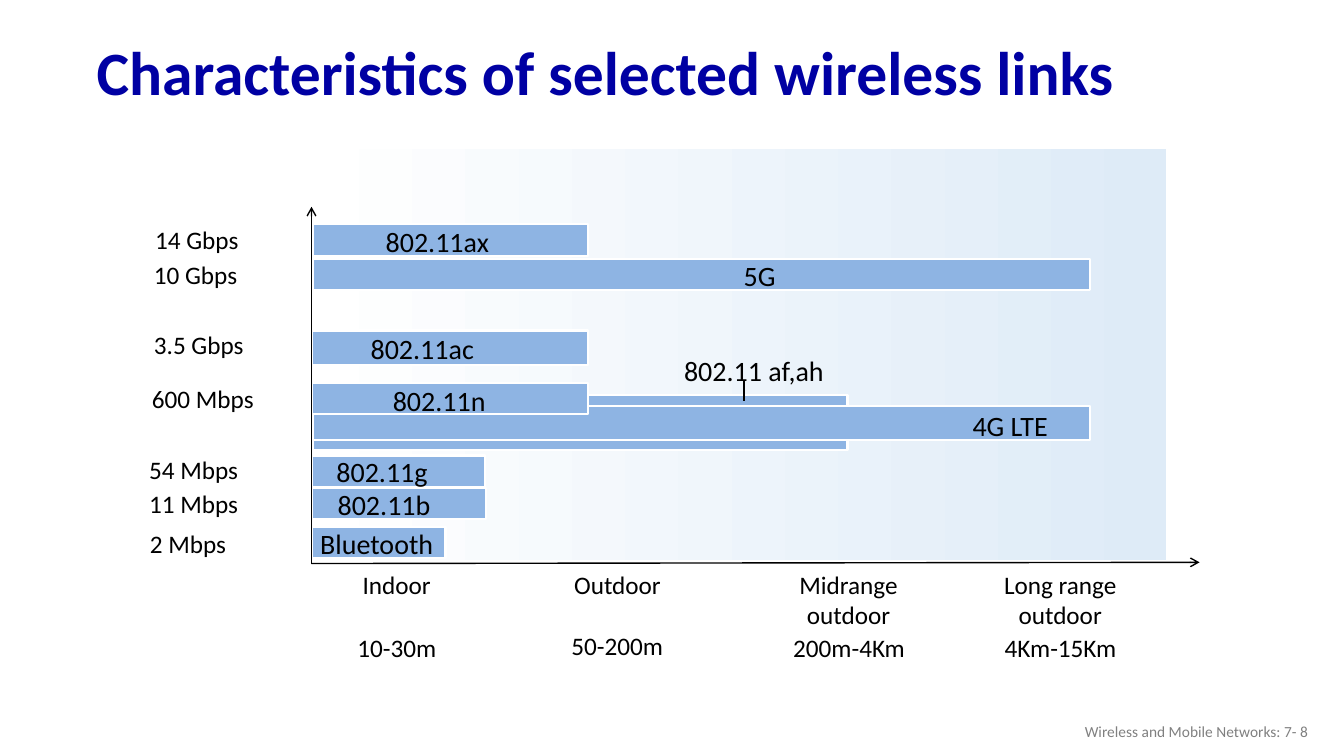
"""Build the slide comparing rate and range of selected wireless links."""
from dataclasses import dataclass
from typing import Optional

from lxml import etree
from pptx import Presentation
from pptx import util as u
from pptx.dml.color import RGBColor
from pptx.enum import shapes, text
from pptx.oxml.ns import qn

NAVY = RGBColor(0x00, 0x00, 0xA3)
GRAY = RGBColor(0x80, 0x80, 0x80)
BLACK = RGBColor(0x00, 0x00, 0x00)
WHITE = RGBColor(0xFF, 0xFF, 0xFF)
BAR_BLUE = RGBColor(0x8E, 0xB4, 0xE3)
PALE_BLUE = RGBColor(0xDE, 0xEB, 0xF7)
FONT = "Calibri"
AXIS_X, AXIS_Y = 7.85, 14.2


@dataclass(frozen=True)
class Label:
    left: float
    top: float
    width: float
    lines: tuple[str, ...]
    size: int = 18
    fill: Optional[RGBColor] = WHITE


@dataclass(frozen=True)
class Bar:
    left: float
    top: float
    width: float
    height: float
    caption: Label


def caption(left: float, top: float, width: float, words: str) -> Label:
    """Describe the unfilled name of a link."""
    return Label(left, top, width, (words,), 20, None)


RANGES = (
    Label(8.89, 14.22, 2.26, ("Indoor",)),
    Label(14.22, 14.22, 2.72, ("Outdoor",)),
    Label(19.86, 14.22, 3.05, ("Midrange", "outdoor")),
    Label(25.02, 14.22, 3.4, ("Long range", "outdoor")),
    Label(8.76, 15.82, 2.51, ("10-30m",)),
    Label(14.15, 15.77, 2.84, ("50-200m",)),
    Label(19.74, 15.82, 3.38, ("200m-4Km",)),
    Label(25.07, 15.82, 3.38, ("4Km-15Km",)),
)
RATES = (
    Label(3.66, 5.54, 2.64, ("14 Gbps",)),
    Label(3.63, 6.4, 2.64, ("10 Gbps",), fill=None),
    Label(3.63, 8.18, 2.79, ("3.5 Gbps",)),
    Label(3.58, 9.53, 3.1, ("600 Mbps",)),
    Label(3.51, 11.33, 2.79, ("54 Mbps",)),
    Label(3.51, 12.17, 2.79, ("11 Mbps",)),
    Label(3.53, 13.18, 2.46, ("2 Mbps",)),
)
BARS = (
    Bar(7.9, 9.96, 13.46, 1.37, caption(16.99, 8.79, 4.11, "802.11 af,ah")),
    Bar(7.9, 10.24, 19.58, 0.84, caption(24.26, 10.16, 2.49, "4G LTE")),
    Bar(7.85, 8.33, 6.96, 0.86, caption(9.09, 8.23, 3.15, "802.11ac")),
    Bar(7.85, 9.65, 6.96, 0.79, caption(9.65, 9.53, 2.87, "802.11n")),
    Bar(7.85, 11.48, 4.37, 0.79, caption(8.23, 11.33, 2.82, "802.11g")),
    Bar(7.85, 12.29, 4.39, 0.79, caption(8.26, 12.17, 2.87, "802.11b")),
    Bar(7.85, 13.28, 3.38, 0.79, caption(7.82, 13.13, 3.4, "Bluetooth")),
    Bar(7.9, 5.64, 6.91, 0.81, caption(9.47, 5.54, 3.15, "802.11ax")),
    Bar(7.9, 6.53, 19.58, 0.79, caption(18.49, 6.38, 1.32, "5G")),
)


def add_run(p, words: str, size: int, color: RGBColor, bold: bool = False) -> None:
    """Append one formatted run to a paragraph."""
    r = p.add_run()
    r.text = words
    r.font.name, r.font.size, r.font.bold = FONT, u.Pt(size), bold
    r.font.color.rgb = color


def add_title(s, words: str) -> None:
    """Place and fill the title placeholder."""
    sp = s.shapes.title
    sp.left, sp.top, sp.width, sp.height = u.Cm(2.18), u.Cm(0.66), u.Cm(29.21), u.Cm(2.49)
    tf = sp.text_frame
    tf.vertical_anchor = text.MSO_ANCHOR.MIDDLE
    p = tf.paragraphs[0]
    p.alignment, p.line_spacing = text.PP_ALIGN.LEFT, 0.9
    add_run(p, words, 44, NAVY, True)


def add_footer(s, words: str) -> None:
    """Write the footer at the lower right."""
    tf = s.shapes.add_textbox(u.Cm(25.6), u.Cm(17.91), u.Cm(7.62), u.Cm(1.02)).text_frame
    tf.word_wrap = True
    tf.vertical_anchor = text.MSO_ANCHOR.MIDDLE
    p = tf.paragraphs[0]
    p.alignment = text.PP_ALIGN.RIGHT
    add_run(p, words, 11, GRAY)


def add_label(s, label: Label) -> None:
    """Write a label, centred when it has several lines."""
    height = 0.25 + len(label.lines) * label.size * 0.043
    sp = s.shapes.add_textbox(u.Cm(label.left), u.Cm(label.top), u.Cm(label.width), u.Cm(height))
    if label.fill is not None:
        sp.fill.solid()
        sp.fill.fore_color.rgb = label.fill
    tf = sp.text_frame
    tf.word_wrap = False
    tf.auto_size = text.MSO_AUTO_SIZE.SHAPE_TO_FIT_TEXT
    for i, words in enumerate(label.lines):
        p = tf.add_paragraph() if i else tf.paragraphs[0]
        p.alignment = text.PP_ALIGN.CENTER if len(label.lines) > 1 else text.PP_ALIGN.LEFT
        add_run(p, words, label.size, BLACK)


def add_rect(s, left: float, top: float, width: float, height: float):
    """Add a rectangle without a shadow."""
    sp = s.shapes.add_shape(shapes.MSO_SHAPE.RECTANGLE,
                            u.Cm(left), u.Cm(top), u.Cm(width), u.Cm(height))
    sp.shadow.inherit = False
    return sp


def add_panel(s) -> None:
    """Draw the shaded plot background."""
    sp = add_rect(s, 7.7, 3.76, 21.69, 10.36)
    sp.line.fill.background()
    sp.fill.gradient()
    sp.fill.gradient_angle = 180
    for stop, color, position in zip(sp.fill.gradient_stops, (PALE_BLUE, WHITE), (0.01, 1)):
        stop.color.rgb, stop.position = color, position


def add_bar(s, bar: Bar) -> None:
    """Draw the bar of a link with its name."""
    sp = add_rect(s, bar.left, bar.top, bar.width, bar.height)
    sp.fill.solid()
    sp.fill.fore_color.rgb = BAR_BLUE
    sp.line.color.rgb, sp.line.width = WHITE, u.Pt(1.5)
    add_label(s, bar.caption)


def add_line(s, x1: float, y1: float, x2: float, y2: float, arrow: bool = False) -> None:
    """Draw a thin black line, with an arrowhead at its end if asked."""
    line = s.shapes.add_connector(shapes.MSO_CONNECTOR.STRAIGHT,
                                  u.Cm(x1), u.Cm(y1), u.Cm(x2), u.Cm(y2))
    line.line.color.rgb, line.line.width = BLACK, u.Pt(1)
    if arrow:
        etree.SubElement(line.line._get_or_add_ln(), qn("a:tailEnd"), type="arrow")
    etree.SubElement(line._element.spPr, qn("a:effectLst"))


def main() -> None:
    """Build and save the slide."""
    prs = Presentation()
    prs.slide_width, prs.slide_height = u.Cm(33.87), u.Cm(19.05)
    s = prs.slides.add_slide(prs.slide_layouts[5])
    add_title(s, "Characteristics of selected wireless links")
    add_footer(s, "Wireless and Mobile Networks: 7- 8")
    add_panel(s)
    for label in RANGES + RATES:
        add_label(s, label)
    add_line(s, AXIS_X, AXIS_Y, 30.23, 14.17, arrow=True)
    for bar in BARS:
        add_bar(s, bar)
    add_line(s, 18.75, 9.6, 18.75, 10.11)
    add_line(s, AXIS_X, AXIS_Y, AXIS_X, 5.21, arrow=True)
    prs.save("out.pptx")


if __name__ == "__main__":
    main()
